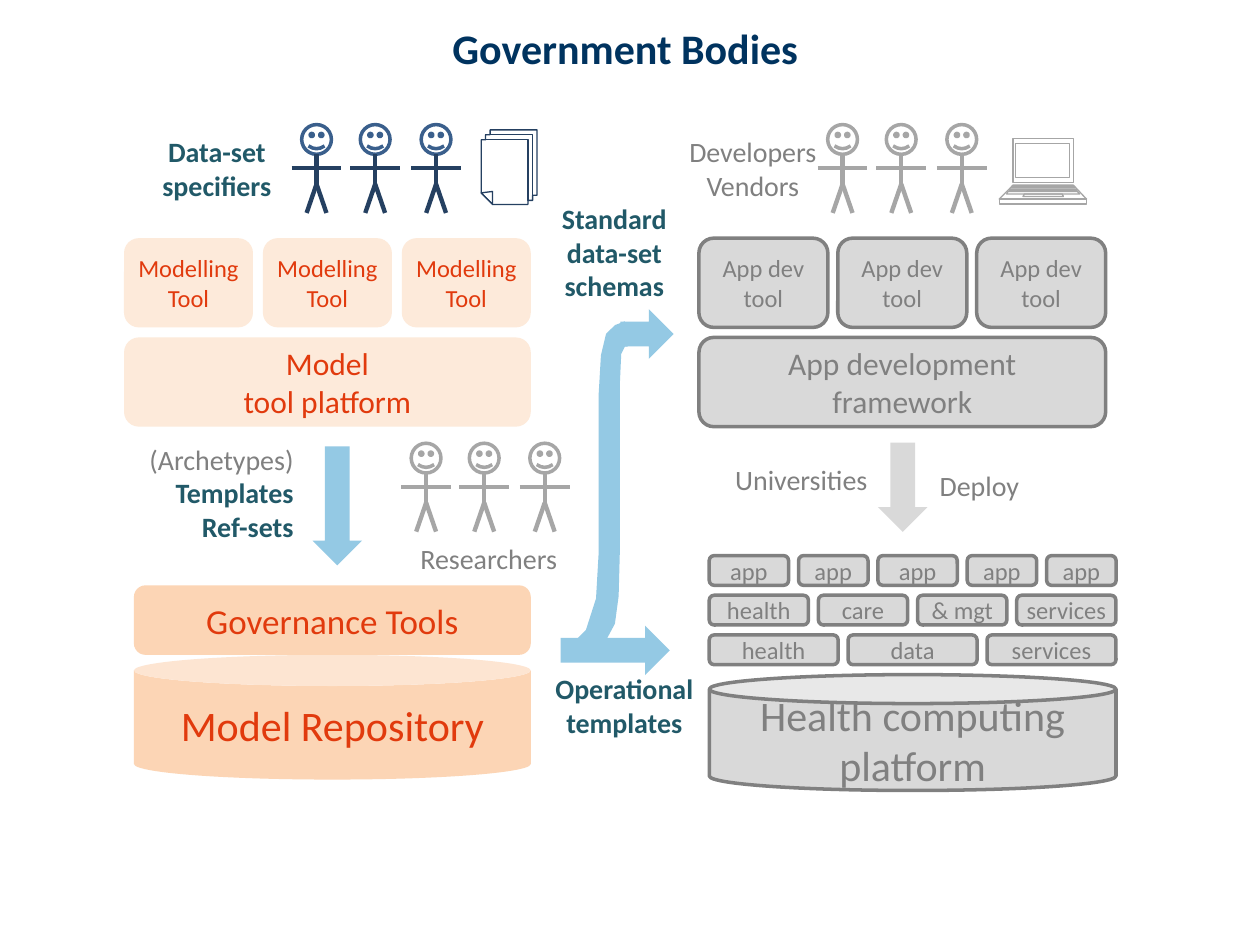
from dataclasses import dataclass

from lxml.etree import SubElement
from pptx import Presentation
from pptx.dml.color import RGBColor
from pptx.enum.shapes import MSO_CONNECTOR, MSO_SHAPE
from pptx.enum.text import MSO_ANCHOR, MSO_AUTO_SIZE, PP_ALIGN
from pptx.oxml.ns import qn
from pptx.util import Pt

COLORS = {
    "title": "00335F", "teal": "215968", "orange": "E13A0D", "gray": "808080",
    "peach": "FDEADA", "apricot": "FCD5B5", "silver": "D9D9D9", "sky": "94C9E4",
    "white": "FFFFFF", "navy": "254061", "blue": "3A5F8C", "mid": "A6A6A6",
}
GAP = 5.67
TOOL_W, TOOL_H, PLATFORM_W = 73.7, 51, 232.4
APP_H = 17
LEFT_X, RIGHT_X, APPS_X = 70.9, 399.4, 405.3


@dataclass
class Style:
    fill: str
    text: str
    line: str | None = None


@dataclass
class Label:
    x: float
    y: float
    w: float
    h: float
    paragraphs: list[str]
    color: str = "gray"
    bold: bool = False
    size: float = 16
    align: PP_ALIGN = PP_ALIGN.CENTER
    wrap: bool = False


PALE = Style("peach", "orange")
WARM = Style("apricot", "orange")
GRAY = Style("silver", "gray", "gray")


def rgb(name: str) -> RGBColor:
    return RGBColor.from_string(COLORS[name])


def set_font(p, size: float, color: str, bold: bool = False) -> None:
    p.font.name = "Calibri"
    p.font.size = Pt(size)
    p.font.bold = bold
    p.font.color.rgb = rgb(color)


def paint(sp, fill: str, line: str | None = None, width: float = 2) -> None:
    sp.shadow.inherit = False
    sp.fill.solid()
    sp.fill.fore_color.rgb = rgb(fill)
    if line:
        sp.line.color.rgb = rgb(line)
        sp.line.width = Pt(width)
    else:
        sp.line.fill.background()


def add_preset(s, kind, x: float, y: float, w: float, h: float,
               fill: str, line: str | None = None):
    sp = s.shapes.add_shape(kind, Pt(x), Pt(y), Pt(w), Pt(h))
    paint(sp, fill, line)
    return sp


def add_box(s, text: str, x: float, y: float, w: float, h: float, style: Style,
            size: float = 14, kind=MSO_SHAPE.ROUNDED_RECTANGLE) -> None:
    tf = add_preset(s, kind, x, y, w, h, style.fill, style.line).text_frame
    tf.word_wrap = True
    tf.vertical_anchor = MSO_ANCHOR.MIDDLE
    tf.margin_left = tf.margin_right = tf.margin_top = tf.margin_bottom = Pt(2.83)
    p = tf.paragraphs[0]
    p.text = text
    p.alignment = PP_ALIGN.CENTER
    set_font(p, size, style.text)


def add_row(s, x: float, y: float, h: float, cells: list[tuple[str, float]],
            style: Style) -> None:
    for text, w in cells:
        add_box(s, text, x, y, w, h, style)
        x += w + GAP


def add_label(s, label: Label):
    tf = s.shapes.add_textbox(Pt(label.x), Pt(label.y), Pt(label.w), Pt(label.h)).text_frame
    tf.word_wrap = label.wrap
    tf.auto_size = MSO_AUTO_SIZE.SHAPE_TO_FIT_TEXT
    for i, text in enumerate(label.paragraphs):
        p = tf.add_paragraph() if i else tf.paragraphs[0]
        p.text = text
        p.alignment = label.align
        set_font(p, label.size, label.color, label.bold)
    return tf


def add_line(s, x1: float, y1: float, x2: float, y2: float,
             color: str, width: float) -> None:
    c = s.shapes.add_connector(MSO_CONNECTOR.STRAIGHT, Pt(x1), Pt(y1), Pt(x2), Pt(y2))
    c.line.color.rgb = rgb(color)
    c.line.width = Pt(width)
    SubElement(c._element.spPr, qn("a:effectLst"))


def add_person(s, cx: float, top: float, head: str, body: str) -> None:
    add_preset(s, MSO_SHAPE.SMILEY_FACE, cx - 8.5, top, 17, 17, "white", head)
    add_line(s, cx, top + 17, cx, top + 34.3, body, 2.5)
    for dx in (5.67, -5.67):
        add_line(s, cx, top + 34, cx + dx, top + 50.5, body, 2.5)
    add_line(s, cx - 14.2, top + 25, cx + 14.2, top + 25, body, 2.5)


def add_outline(s, contours, fill: str, line: str | None = None) -> None:
    paths = [[(Pt(x), Pt(y)) for x, y in contour] for contour in contours]
    fb = s.shapes.build_freeform(*paths[0][0], scale=1.0)
    for i, path in enumerate(paths):
        if i:
            fb.move_to(*path[0])
        fb.add_line_segments(path[1:], close=True)
    paint(fb.convert_to_shape(), fill, line, 0.75)


def trapezoid(l1: float, r1: float, y1: float, l2: float, r2: float, y2: float):
    return [(l1, y1), (r1, y1), (r2, y2), (l2, y2)]


prs = Presentation()
prs.slide_width, prs.slide_height = Pt(720), Pt(540)
s = prs.slides.add_slide(prs.slide_layouts[6])

# Tools and platforms
for x, tool, platform, style in (
    (LEFT_X, "Modelling Tool", "Model\vtool platform", PALE),
    (RIGHT_X, "App dev tool", "App development\vframework", GRAY),
):
    add_row(s, x, 136.1, TOOL_H, [(tool, TOOL_W)] * 3, style)
    add_box(s, platform, x, 192.8, PLATFORM_W, TOOL_H, style, 18)

# Apps and services
APP_ROWS = [
    [("app", 45.35), ("app", 39.7), ("app", 45.35), ("app", 39.7), ("app", 39.7)],
    [("health", 56.7), ("care", 51), ("& mgt", 51), ("services", 56.7)],
    [("health", TOOL_W), ("data", TOOL_W), ("services", TOOL_W)],
]
for i, cells in enumerate(APP_ROWS):
    add_row(s, APPS_X, 317.5 + i * (APP_H + GAP), APP_H, cells, GRAY)

# Repositories
add_box(s, "Model Repository", 76.5, 374.2, 226.8, 71.3, WARM, 24, MSO_SHAPE.CAN)
add_box(s, "Health computing platform", APPS_X, 385.5, PLATFORM_W, 66.2, GRAY, 24,
        MSO_SHAPE.CAN)
add_box(s, "Governance Tools", 76.5, 334.5, 226.8, 39.7, WARM, 20)

# Block arrows
for x, y, h, turn, fill in (
    (178.6, 255.1, 68, 0, "sky"), (501.7, 252.9, 51, 0, "silver"),
    (355.6, 175.6, 30.5, 270, "sky"), (337.4, 340.4, 62.4, 270, "sky"),
):
    add_preset(s, MSO_SHAPE.DOWN_ARROW, x, y, 28.3, h, fill).rotation = turn

# Curved band joining the two right-pointing arrows
add_outline(s, [[
    (324.7, 365), (329.8, 365), (334.8, 360), (340.6, 342), (342, 317.5),
    (342, 226.8), (343.4, 203), (346.3, 190.8), (351.4, 185.8), (357.1, 183.6),
    (357.1, 198), (355, 202.3), (354.2, 219.6), (354.2, 315.4), (353.5, 340.6),
    (351.4, 356.4), (345.6, 367.2),
]], "sky")
add_line(s, 345.6, 369.4, 329.8, 366.5, "sky", 3)
add_line(s, 357.1, 198, 357.8, 185, "sky", 3)

# People
for centers, top, head, body in (
    ((180.9, 214.4, 249.2), 71.2, "blue", "navy"),
    ((481.5, 515, 549.6), 71.2, "mid", "mid"),
    ((243.5, 276.7, 311.3), 253.3, "mid", "mid"),
):
    for cx in centers:
        add_person(s, cx, top, head, body)

# Stack of documents
add_outline(s, [
    [(275, 110.2), (275, 79.9), (277.5, 79.9), (277.5, 77), (280.1, 77),
     (280.1, 74.2), (306.9, 74.2), (306.9, 111.6), (304.4, 111.6), (304.4, 114.5),
     (301.7, 114.5), (301.7, 116.8), (281.5, 116.8)],
    [(280.1, 77), (304.4, 77), (304.4, 114.5), (301.7, 114.5), (301.7, 79.9),
     (277.5, 79.9), (277.5, 77)],
    [(275, 110.2), (281.5, 109.4), (281.5, 116.8)],
], "white", "navy")

# Laptop: screen, deck, front, display, key rows, touch pad
add_outline(s, [trapezoid(*edges) for edges in (
    (578.9, 613.4, 79.2, 578.9, 613.4, 104.4),
    (578.9, 613.4, 105.8, 571, 620.9, 113.8),
    (571, 620.9, 113.8, 571, 620.9, 116.6),
    (580.3, 611.3, 82.1, 580.3, 611.3, 101.5),
    (578.9, 613.4, 106.6, 577.4, 614.2, 107.3),
    (577.4, 614.2, 108, 576.7, 615.6, 108.7),
    (576, 615.6, 109.4, 575.3, 617, 110.9),
    (585.4, 607, 110.9, 584.6, 607.7, 112.3),
)], "white", "mid")

# Title and labels
for label in (
    Label(76.5, 9.4, 561.6, 36, ["Government Bodies"], "title", True, 24, wrap=True),
    Label(85, 73.4, 77.8, 46, ["Data-set", "specifiers"], "teal", True),
    Label(385.9, 73.4, 88.6, 46, ["Developers", "Vendors"]),
    Label(313.2, 111.6, 75.6, 65.5, ["Standard", "data-set", "schemas"], "teal", True),
    Label(309.6, 380.2, 94.3, 46, ["Operational\vtemplates"], "teal", True),
    Label(529.9, 264.2, 60.5, 26.6, ["Deploy"], align=PP_ALIGN.LEFT),
    Label(411.1, 260.6, 93.6, 26.6, ["Universities"]),
    Label(231.8, 306, 95, 26.6, ["Researchers"]),
):
    add_label(s, label)
tf = add_label(s, Label(77, 249.1, 97.9, 65.5, ["(Archetypes)", "Templates", "Ref-sets"],
                        "teal", True, align=PP_ALIGN.RIGHT))
set_font(tf.paragraphs[0], 16, "gray")

prs.save("out.pptx")
